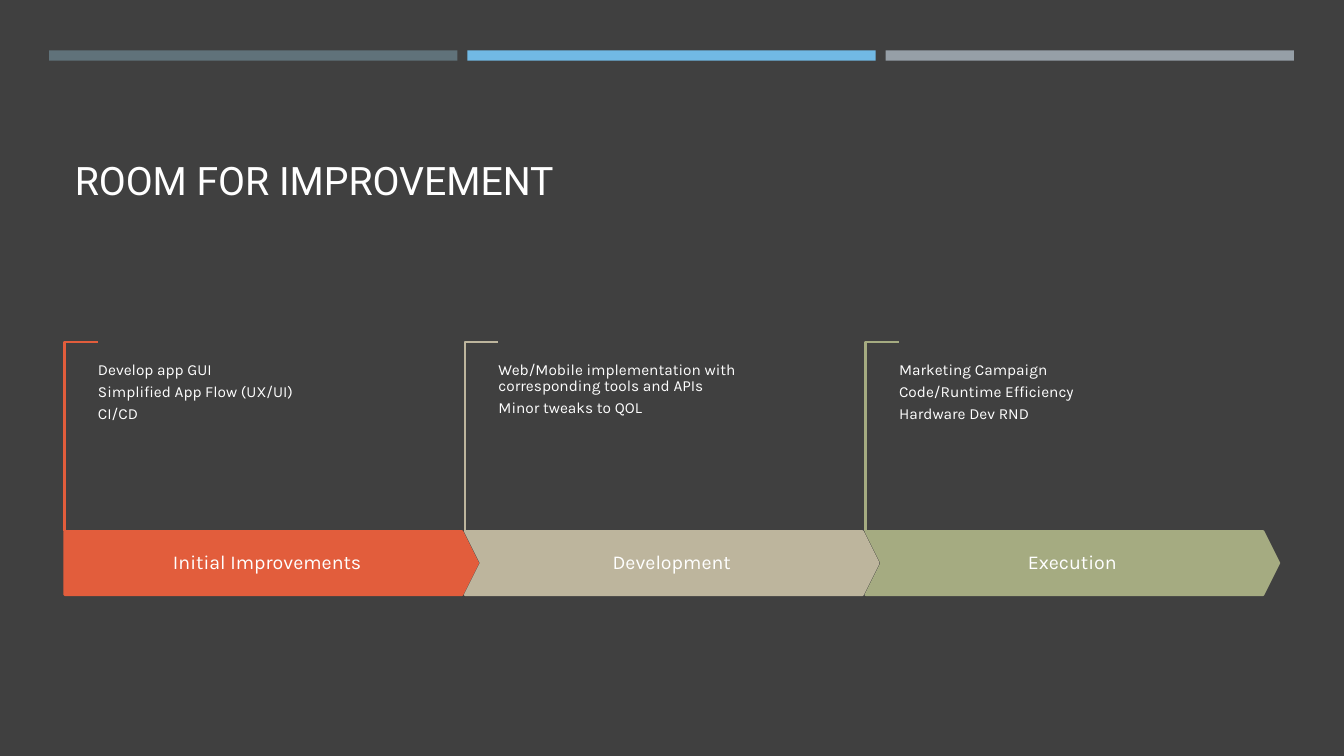
from pptx import Presentation
from pptx.dml.color import RGBColor
from pptx.enum.shapes import MSO_SHAPE as Preset
from pptx.enum.text import MSO_ANCHOR as Anchor, MSO_AUTO_SIZE as AutoSize, PP_ALIGN as Align
from pptx.util import Cm, Pt

BACKGROUND = "404040"
WHITE = "FFFFFF"
BAR_COLOURS = ["60727A", "71B9E4", "969FA7"]
STAGES = [
    ("Initial Improvements", "E25D3C", Preset.PENTAGON,
     ["Develop app GUI", "Simplified App Flow (UX/UI)", "CI/CD"]),
    ("Development", "BDB59D", Preset.CHEVRON,
     ["Web/Mobile implementation with corresponding tools and APIs", "Minor tweaks to QOL"]),
    ("Execution", "A5AB81", Preset.CHEVRON,
     ["Marketing Campaign", "Code/Runtime Efficiency", "Hardware Dev RND"]),
]


def colour(value):
    return RGBColor.from_string(value)


def add_span(para, text, size, font):
    span = para.add_run()
    span.text = text
    span.font.size = Pt(size)
    span.font.name = font
    span.font.color.rgb = colour(WHITE)


def set_line(shape, value):
    shape.line.color.rgb = colour(value)
    shape.line.width = Pt(1.75)


def add_preset(page, preset, left, top, width, height, fill):
    shape = page.shapes.add_shape(preset, Cm(left), Cm(top), Cm(width), Cm(height))
    shape.shadow.inherit = False
    shape.fill.solid()
    shape.fill.fore_color.rgb = colour(fill)
    shape.line.fill.background()
    return shape


def clear_margins(frame):
    frame.margin_left = frame.margin_right = frame.margin_top = frame.margin_bottom = 0


def add_title(page, text, left, top, width, height):
    title = page.shapes.title
    title.left, title.top, title.width, title.height = Cm(left), Cm(top), Cm(width), Cm(height)
    frame = title.text_frame
    frame.auto_size = AutoSize.NONE
    frame.vertical_anchor = Anchor.BOTTOM
    para = frame.paragraphs[0]
    para.alignment = Align.LEFT
    add_span(para, text, 28, "Roboto")


def add_bars(page, left, top, width, height, gap=0.25):
    bar_width = (width - gap * (len(BAR_COLOURS) - 1)) / len(BAR_COLOURS)
    for index, fill in enumerate(BAR_COLOURS):
        add_preset(page, Preset.RECTANGLE, left + index * (bar_width + gap), top,
                   bar_width, height, fill)


def add_bracket(page, left, top, width, height, stroke):
    builder = page.shapes.build_freeform(Cm(left), Cm(top + height))
    builder.add_line_segments([(Cm(left), Cm(top)), (Cm(left + width), Cm(top))], close=False)
    bracket = builder.convert_to_shape()
    bracket.shadow.inherit = False
    bracket.fill.background()
    set_line(bracket, stroke)


def add_arrow(page, preset, text, left, top, width, height, fill):
    arrow = add_preset(page, preset, left, top, width, height, fill)
    set_line(arrow, fill)
    arrow.adjustments[0] = 0.25
    frame = arrow.text_frame
    clear_margins(frame)
    frame.vertical_anchor = Anchor.MIDDLE
    para = frame.paragraphs[0]
    para.alignment = Align.CENTER
    para.line_spacing = 0.9
    add_span(para, text, 14, "Karla")


def add_steps(page, steps, left, top, width, height):
    box = page.shapes.add_textbox(Cm(left), Cm(top), Cm(width), Cm(height))
    frame = box.text_frame
    frame.word_wrap = True
    clear_margins(frame)
    for index, step in enumerate(steps):
        para = frame.add_paragraph() if index else frame.paragraphs[0]
        para.line_spacing = 0.9
        para.space_after = Pt(3.85)
        add_span(para, step, 11, "Karla")


def add_stage(page, stage, left, top, width, height):
    name, fill, preset, steps = stage
    arrow_height, bracket_width = 1.6, 0.84
    bracket_height = height - arrow_height
    add_bracket(page, left, top, bracket_width, bracket_height, fill)
    add_arrow(page, preset, name, left, top + bracket_height, width, arrow_height, fill)
    add_steps(page, steps, left + bracket_width, top + 0.5, 8.46, 2.79)


def add_timeline(page, left, top, width, height, overlap=0.32):
    stage_width = (width + overlap * (len(STAGES) - 1)) / len(STAGES)
    for index, stage in enumerate(STAGES):
        add_stage(page, stage, left + index * (stage_width - overlap), top, stage_width, height)


def main():
    deck = Presentation()
    deck.slide_width, deck.slide_height = Cm(33.87), Cm(19.05)
    page = deck.slides.add_slide(deck.slide_layouts[5])
    page.background.fill.solid()
    page.background.fill.fore_color.rgb = colour(BACKGROUND)
    add_title(page, "ROOM FOR IMPROVEMENT", 1.63, 1.96, 30.63, 3.3)
    add_bars(page, 1.24, 1.27, 31.37, 0.26)
    add_timeline(page, 1.63, 8.62, 30.6, 6.37)
    deck.save("out.pptx")


if __name__ == "__main__":
    main()
